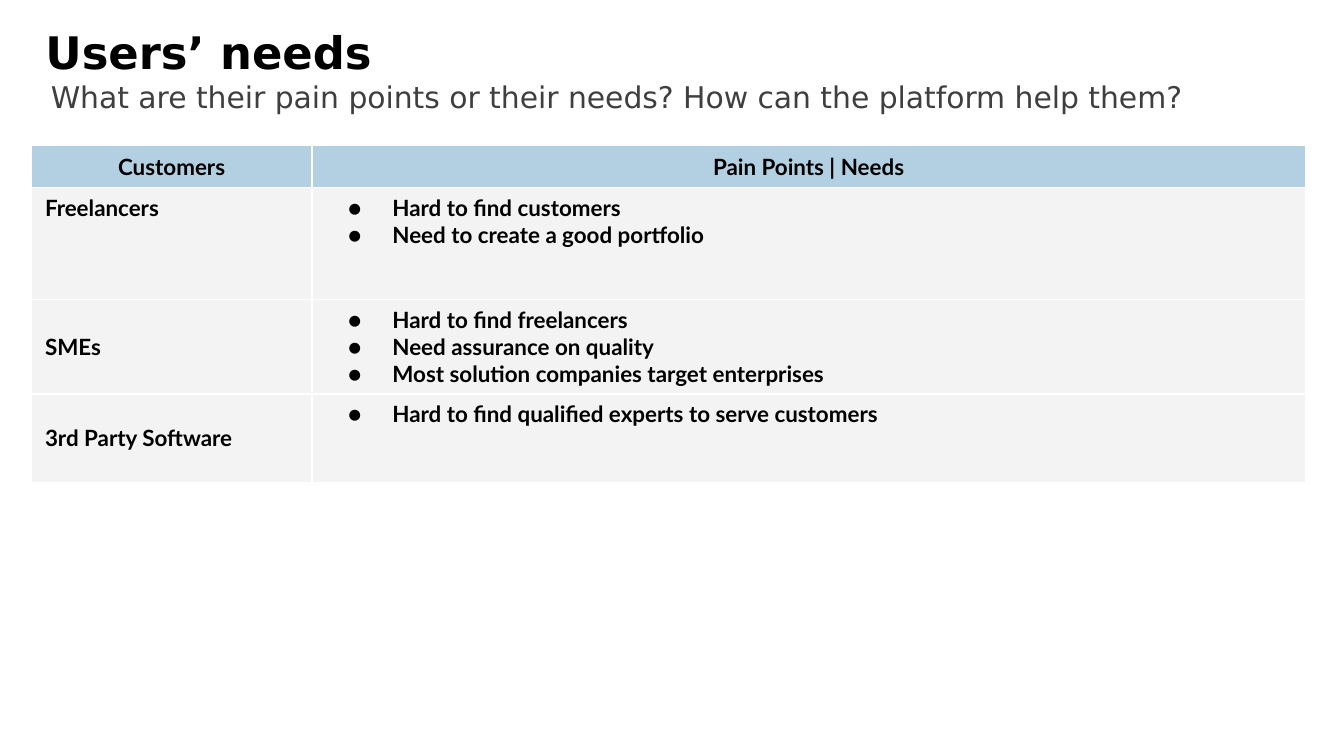
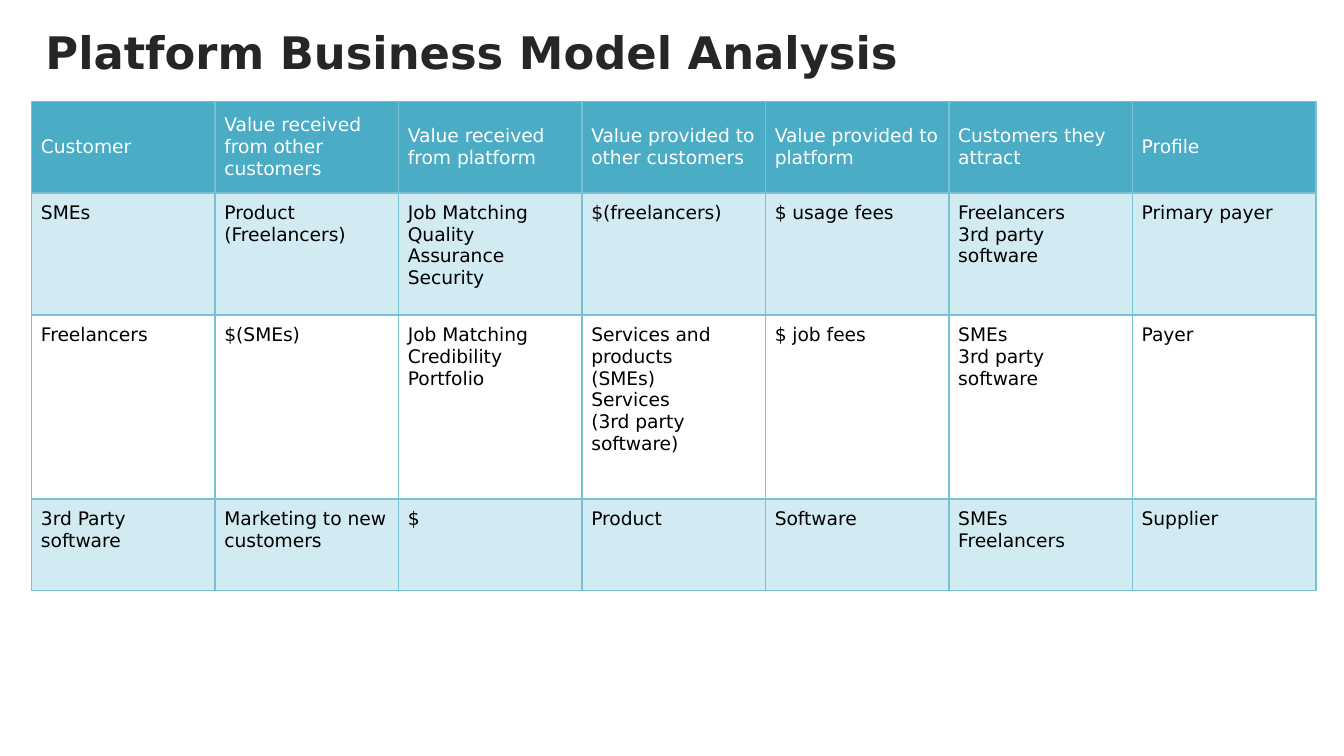
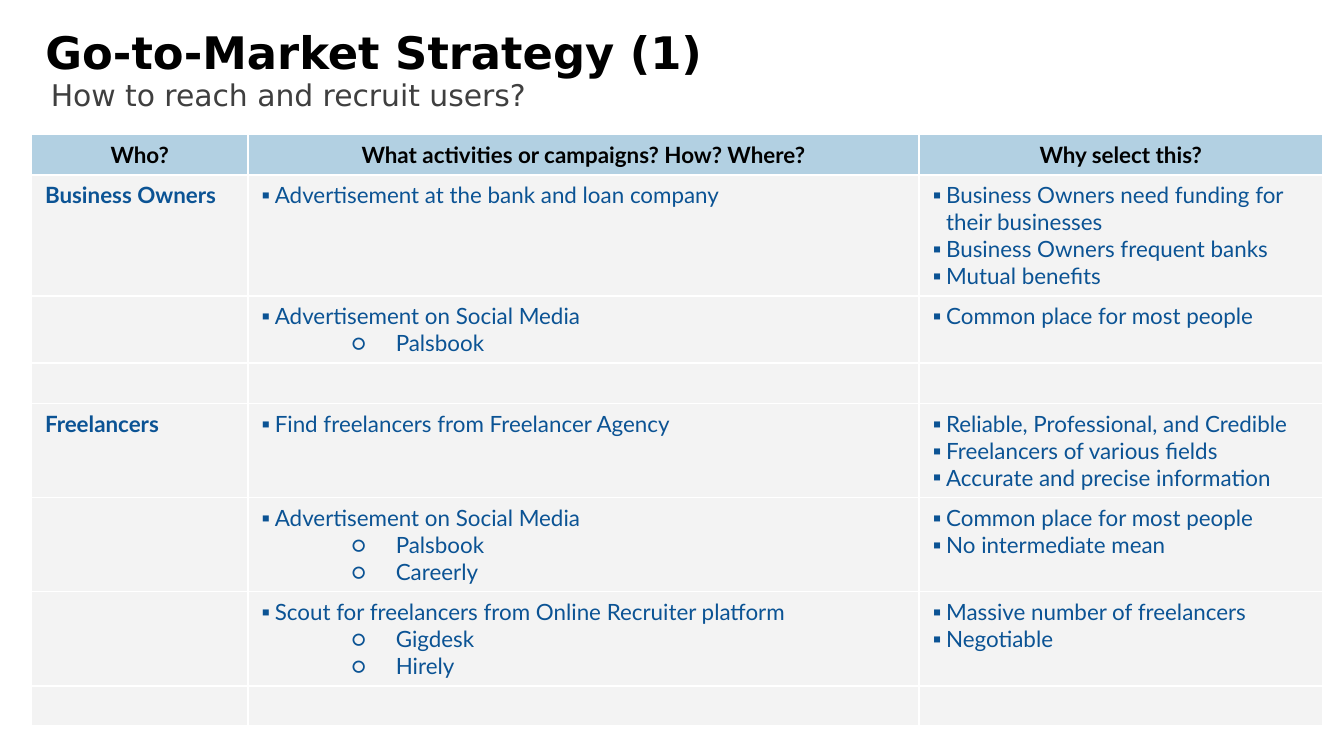
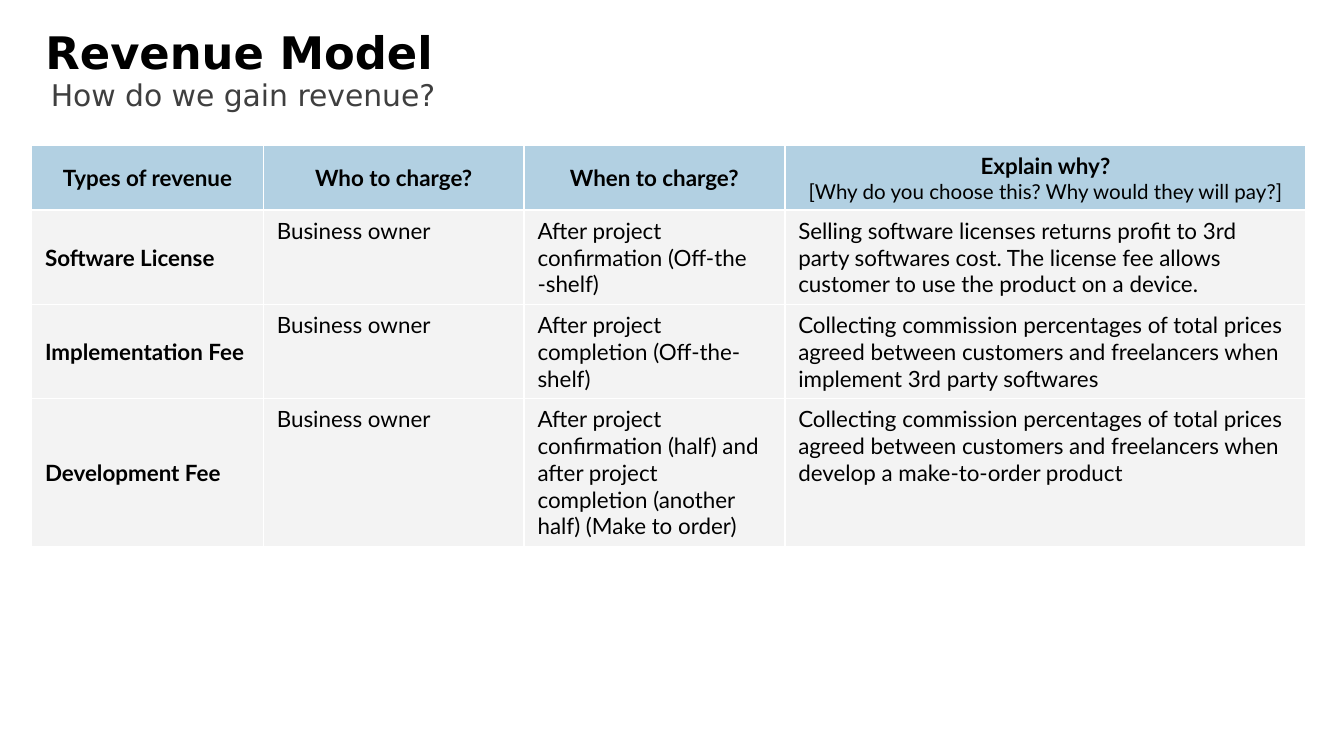
from dataclasses import dataclass, replace
from typing import Optional

from lxml.etree import SubElement
from pptx import Presentation
from pptx.dml.color import RGBColor
from pptx.enum.text import MSO_ANCHOR as Anchor, PP_ALIGN as Align
from pptx.oxml import parse_xml
from pptx.oxml.ns import nsdecls, qn
from pptx.util import Emu, Pt

EMU_PER_PX = 4572
SANS, LATO = "DejaVu Sans", "Lato"
BLACK, WHITE, CHARCOAL, GREY = "000000", "FFFFFF", "262626", "3F3F3F"
NAVY, BLUE, SILVER = "0B5394", "0066A1", "D8D8D8"
TEAL, PALE_TEAL, TEAL_LINE = "4BACC6", "D2EAF1", "78C0D4"


@dataclass(frozen=True)
class Bullet:
    glyph: str
    left: int
    hang: int
    level: int = 0


DOT = Bullet("●", 100, 66)
SQUARE = Bullet("▪", 20, 20)
CIRCLE = Bullet("○", 200, 66, level=1)


@dataclass(frozen=True)
class Line:
    text: str
    bullet: Optional[Bullet] = None
    size: Optional[int] = None
    bold: Optional[bool] = None


@dataclass(frozen=True)
class Cell:
    lines: tuple = ()
    fill: str = SILVER
    color: str = BLACK
    bold: bool = False
    align: Align = Align.LEFT
    anchor: Anchor = Anchor.TOP


@dataclass(frozen=True)
class TableStyle:
    font: str
    size: int
    pad_x: int
    pad_y: int
    border: str
    opacity: int = 100


SOFT = TableStyle(LATO, 12, 20, 10, WHITE, opacity=30)
GRID = TableStyle(SANS, 10, 14, 14, TEAL_LINE)


@dataclass(frozen=True)
class TableSlide:
    title: str
    top: int
    columns: list
    heights: list
    rows: list
    style: TableStyle = SOFT
    title_color: str = BLACK
    subtitle: str = ""
    subtitle_top: int = 104


def px(length: int) -> Emu:
    return Emu(length * EMU_PER_PX)


def rgb(value: str) -> RGBColor:
    return RGBColor.from_string(value)


def add_bullet(paragraph, bullet: Bullet, color: str, font: str) -> None:
    paragraph.level = bullet.level
    properties = paragraph._p.get_or_add_pPr()
    properties.set("marL", str(px(bullet.left)))
    properties.set("indent", str(px(-bullet.hang)))
    tint = SubElement(properties, qn("a:buClr"))
    SubElement(tint, qn("a:srgbClr"), val=color)
    SubElement(properties, qn("a:buFont"), typeface=font)
    SubElement(properties, qn("a:buChar"), char=bullet.glyph)


def write(frame, lines: tuple, *, font: str, size: int, color: str,
          bold: bool = False, align: Align = Align.LEFT) -> None:
    if not lines:
        SubElement(frame.paragraphs[0]._p, qn("a:endParaRPr"), sz=str(size * 100))
    for index, line in enumerate(lines):
        paragraph = frame.add_paragraph() if index else frame.paragraphs[0]
        paragraph.alignment = align
        if line.bullet:
            add_bullet(paragraph, line.bullet, color, font)
        run = paragraph.add_run()
        run.text = line.text
        run.font.name = font
        run.font.size = Pt(line.size or size)
        run.font.bold = bold if line.bold is None else line.bold
        run.font.color.rgb = rgb(color)


def add_heading(slide, text: str, left: int, top: int, **text_format) -> None:
    frame = slide.shapes.add_textbox(px(left), px(top), px(1914), px(124)).text_frame
    frame.word_wrap = True
    frame.margin_left = frame.margin_right = px(20)
    frame.margin_top = frame.margin_bottom = px(10)
    write(frame, (Line(text),), font=SANS, **text_format)


def paint(cell, color: str, style: TableStyle) -> None:
    cell.fill.solid()
    cell.fill.fore_color.rgb = rgb(color)
    properties = cell._tc.get_or_add_tcPr()
    if style.opacity < 100:
        tint = properties.find(qn("a:solidFill")).find(qn("a:srgbClr"))
        SubElement(tint, qn("a:alpha"), val=str(style.opacity * 1000))
    for index, side in enumerate("LRTB"):
        properties.insert(index, parse_xml(
            f'<a:ln{side} {nsdecls("a")} w="12700"><a:solidFill>'
            f'<a:srgbClr val="{style.border}"/></a:solidFill></a:ln{side}>'))


def fill_cell(cell, content: Cell, style: TableStyle) -> None:
    cell.margin_left = cell.margin_right = px(style.pad_x)
    cell.margin_top = cell.margin_bottom = px(style.pad_y)
    cell.vertical_anchor = content.anchor
    paint(cell, content.fill, style)
    write(cell.text_frame, content.lines, font=style.font, size=style.size,
          color=content.color, bold=content.bold, align=content.align)


def add_grid(slide, page: TableSlide) -> None:
    table = slide.shapes.add_table(
        len(page.heights), len(page.columns), px(47), px(page.top),
        px(sum(page.columns)), px(sum(page.heights))).table
    table.first_row = table.horz_banding = False
    for column, width in zip(table.columns, page.columns):
        column.width = px(width)
    for row, height, contents in zip(table.rows, page.heights, page.rows):
        row.height = px(height)
        for cell, content in zip(row.cells, contents):
            fill_cell(cell, content, page.style)


def add_page(deck, page: TableSlide) -> None:
    slide = deck.slides.add_slide(deck.slide_layouts[6])
    add_grid(slide, page)
    if page.subtitle:
        add_heading(slide, page.subtitle, 56, page.subtitle_top, size=16, color=GREY)
    add_heading(slide, page.title, 48, 27, size=24, color=page.title_color, bold=True)


def plain(*texts: str, **look) -> Cell:
    return Cell(tuple(Line(text) for text in texts), **look)


def header(*texts: str) -> list[Cell]:
    return [plain(text, fill=BLUE, bold=True, align=Align.CENTER, anchor=Anchor.MIDDLE)
            for text in texts]


def label(text: str) -> Cell:
    return plain(text, bold=True, anchor=Anchor.MIDDLE)


def needs(*texts: str) -> Cell:
    return Cell(tuple(Line(text, DOT) for text in texts), bold=True)


def points(*texts: str, channels: tuple = ()) -> Cell:
    lines = [Line(text, SQUARE) for text in texts]
    lines += [Line(channel, CIRCLE) for channel in channels]
    return Cell(tuple(lines), color=NAVY)


def audience(text: str) -> Cell:
    return plain(text, color=NAVY, bold=True)


def model_row(fill: str, *cells: str, **look) -> list[Cell]:
    return [plain(*cell.split("\n"), fill=fill, **look) for cell in cells]


EMPTY = Cell()

USERS_NEEDS = TableSlide(
    title="Users’ needs",
    subtitle="What are their pain points or their needs? How can the platform help them?",
    subtitle_top=107,
    top=216,
    columns=[417, 1479],
    heights=[63, 167, 140, 132],
    rows=[
        header("Customers", "Pain Points | Needs"),
        [replace(label("Freelancers"), anchor=Anchor.TOP),
         needs("Hard to find customers", "Need to create a good portfolio")],
        [label("SMEs"),
         needs("Hard to find freelancers", "Need assurance on quality",
               "Most solution companies target enterprises")],
        [label("3rd Party Software"),
         needs("Hard to find qualified experts to serve customers")],
    ],
)

BUSINESS_MODEL = TableSlide(
    title="Platform Business Model Analysis",
    title_color=CHARCOAL,
    top=151,
    columns=[273] * 7,
    heights=[136, 182, 274, 136],
    style=GRID,
    rows=[
        model_row(TEAL, "Customer", "Value received from other customers",
                  "Value received from platform", "Value provided to other customers",
                  "Value provided to platform", "Customers they attract", "Profile",
                  color=WHITE, anchor=Anchor.MIDDLE),
        model_row(PALE_TEAL, "SMEs", "Product\n(Freelancers)",
                  "Job Matching\nQuality Assurance\nSecurity", "$(freelancers)",
                  "$ usage fees", "Freelancers\n3rd party software", "Primary payer"),
        model_row(WHITE, "Freelancers", "$(SMEs)",
                  "Job Matching\nCredibility\nPortfolio",
                  "Services and products\n(SMEs)\nServices\n(3rd party software)",
                  "$ job fees", "SMEs\n3rd party software", "Payer"),
        model_row(PALE_TEAL, "3rd Party software", "Marketing to new customers", "$",
                  "Product", "Software", "SMEs\nFreelancers", "Supplier"),
    ],
)

GO_TO_MARKET = TableSlide(
    title="Go-to-Market Strategy (1)",
    subtitle="How to reach and recruit users?",
    top=200,
    columns=[322, 999, 600],
    heights=[60, 180, 100, 60, 140, 140, 140, 60],
    rows=[
        header("Who?", "What activities or campaigns? How? Where?", "Why select this?"),
        [audience("Business Owners"),
         points("Advertisement at the bank and loan company"),
         points("Business Owners need funding for their businesses",
                "Business Owners frequent banks", "Mutual benefits")],
        [EMPTY,
         points("Advertisement on Social Media", channels=("Palsbook",)),
         points("Common place for most people")],
        [EMPTY] * 3,
        [audience("Freelancers"),
         points("Find freelancers from Freelancer Agency"),
         points("Reliable, Professional, and Credible", "Freelancers of various fields",
                "Accurate and precise information")],
        [EMPTY,
         points("Advertisement on Social Media", channels=("Palsbook", "Careerly")),
         points("Common place for most people", "No intermediate mean")],
        [EMPTY,
         points("Scout for freelancers from Online Recruiter platform",
                channels=("Gigdesk", "Hirely")),
         points("Massive number of freelancers", "Negotiable")],
        [EMPTY] * 3,
    ],
)

REVENUE_MODEL = TableSlide(
    title="Revenue Model",
    subtitle="How do we gain revenue?",
    top=216,
    columns=[345, 388, 388, 776],
    heights=[97, 140, 140, 220],
    rows=[
        header("Types of revenue", "Who to charge?", "When to charge?")
        + [replace(header("")[0], lines=(
            Line("Explain why?"),
            Line("[Why do you choose this? Why would they will pay?]", size=11, bold=False)))],
        [label("Software License"),
         plain("Business owner"),
         plain("After project confirmation (Off-the -shelf)"),
         plain("Selling software licenses returns profit to 3rd party softwares cost. "
               "The license fee allows customer to use the product on a device.")],
        [label("Implementation Fee"),
         plain("Business owner"),
         plain("After project completion (Off-the-shelf)"),
         plain("Collecting commission percentages of total prices agreed between "
               "customers and freelancers when implement 3rd party softwares")],
        [label("Development Fee"),
         plain("Business owner"),
         plain("After project confirmation (half) and after project completion "
               "(another half) (Make to order)"),
         plain("Collecting commission percentages of total prices agreed between "
               "customers and freelancers when develop a make-to-order product")],
    ],
)


def main() -> None:
    deck = Presentation()
    deck.slide_width, deck.slide_height = px(2000), px(1125)
    for page in (USERS_NEEDS, BUSINESS_MODEL, GO_TO_MARKET, REVENUE_MODEL):
        add_page(deck, page)
    deck.save("out.pptx")


if __name__ == "__main__":
    main()
